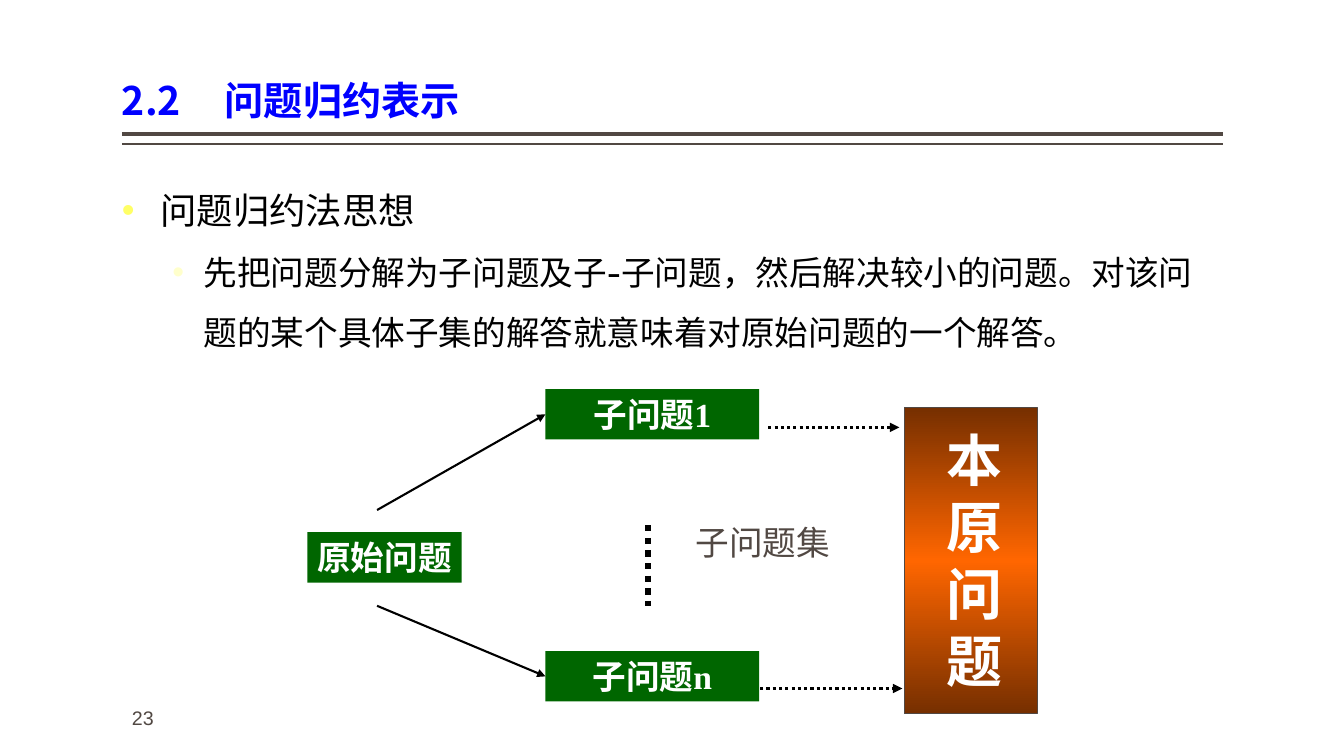
import pptx
import pptx.util
import pptx.dml.color
import pptx.enum.dml
import pptx.enum.shapes
import pptx.enum.text
import pptx.oxml
import pptx.oxml.ns
from dataclasses import dataclass
from lxml import etree

Inches = pptx.util.Inches
Pt = pptx.util.Pt
RGB = pptx.dml.color.RGBColor.from_string
Align = pptx.enum.text.PP_ALIGN
Anchor = pptx.enum.text.MSO_ANCHOR
Fit = pptx.enum.text.MSO_AUTO_SIZE
RECT = pptx.enum.shapes.MSO_SHAPE.RECTANGLE
STRAIGHT = pptx.enum.shapes.MSO_CONNECTOR.STRAIGHT
DOTS = pptx.enum.dml.MSO_LINE.ROUND_DOT
qn = pptx.oxml.ns.qn


@dataclass(frozen=True)
class Theme:
    title: str = "0000FF"
    ink: str = "000000"
    grey: str = "514843"
    green: str = "006600"
    white: str = "FFFFFF"
    brown: str = "762F00"
    orange: str = "FF6600"
    bullets: tuple = ("FFFF66", "FFFFCC")
    sans: str = "Noto Sans CJK SC"
    body: str = "Cabin"
    serif: str = "Times New Roman"
    small: int = 14
    label: int = 24
    point: int = 26
    head: int = 28
    big: int = 40


THEME = Theme()


def style(par, size, color, font, bold=False):
    for run in par.runs:
        run.font.size = Pt(size)
        run.font.bold = bold
        run.font.name = font
        run.font.color.rgb = RGB(color)
        east = etree.SubElement(run.font._element, qn("a:ea"))
        east.set("typeface", THEME.sans)


def text_box(slide, box, text, size, color, font, bold=False, wrap=True):
    shape = slide.shapes.add_textbox(*map(Inches, box))
    frame = shape.text_frame
    frame.word_wrap = wrap
    frame.text = text
    for par in frame.paragraphs:
        style(par, size, color, font, bold)
    return shape


def line(slide, start, end, width, color=THEME.ink, dots=False, arrow=False):
    link = slide.shapes.add_connector(STRAIGHT, *map(Inches, (*start, *end)))
    link.line.width = Pt(width)
    link.line.color.rgb = RGB(color)
    if dots:
        link.line.dash_style = DOTS
    if arrow:
        etree.SubElement(link.line._get_or_add_ln(), qn("a:tailEnd"), type="triangle")
    etree.SubElement(link._element.spPr, qn("a:effectLst"))
    return link


def node(slide, box, text, font=THEME.serif, wrap=True):
    shape = slide.shapes.add_shape(RECT, *map(Inches, box))
    shape.shadow.inherit = False
    shape.fill.solid()
    shape.fill.fore_color.rgb = RGB(THEME.green)
    shape.line.fill.background()
    frame = shape.text_frame
    frame.word_wrap = wrap
    frame.text = text
    frame.paragraphs[0].alignment = Align.CENTER
    style(frame.paragraphs[0], THEME.label, THEME.white, font, True)
    return shape


def shade(shape, colors):
    """Fill a shape from top to bottom with evenly spaced colours."""
    shape.fill.gradient()
    grad = shape._element.spPr.find(qn("a:gradFill"))
    stops = grad.find(qn("a:gsLst"))
    for stop in list(stops):
        stops.remove(stop)
    for i, color in enumerate(colors):
        place = str(100000 * i // (len(colors) - 1))
        stop = etree.SubElement(stops, qn("a:gs"), pos=place)
        etree.SubElement(stop, qn("a:srgbClr"), val=color)
    shape.fill.gradient_angle = 90


def header(slide, box):
    left, top, width, height = box
    title = slide.shapes.title
    title.left, title.top, title.width, title.height = map(Inches, box)
    frame = title.text_frame
    frame.margin_left = frame.margin_right = 0
    frame.vertical_anchor = Anchor.BOTTOM
    frame.auto_size = Fit.NONE
    frame.text = "2.2\t问题归约表示"
    par = frame.paragraphs[0]
    par.alignment = Align.LEFT
    par.line_spacing = 0.9
    tabs = etree.SubElement(par._p.get_or_add_pPr(), qn("a:tabLst"))
    etree.SubElement(tabs, qn("a:tab"), pos=str(Inches(1.02)), algn="l")
    style(par, THEME.head, THEME.title, THEME.sans, True)
    for gap, weight in ((0.05, 3), (0.15, 1)):
        y = top + height + gap
        line(slide, (left, y), (left + width, y), weight, THEME.grey)


def points(slide, box):
    text = ("问题归约法思想\n"
            "先把问题分解为子问题及子-子问题，然后解决较小的问题。"
            "对该问题的某个具体子集的解答就意味着对原始问题的一个解答。")
    shape = text_box(slide, box, text, THEME.point, THEME.ink, THEME.body)
    frame = shape.text_frame
    frame.margin_left = frame.margin_right = 0
    indents = ((0.38, 0.38), (0.81, 0.31))
    for level, par in enumerate(frame.paragraphs):
        par.level = level
        par.line_spacing = 1.5
        props = par._p.get_or_add_pPr()
        left, hang = indents[level]
        props.set("marL", str(Inches(left)))
        props.set("indent", str(-Inches(hang)))
        tint = etree.SubElement(props, qn("a:buClr"))
        etree.SubElement(tint, qn("a:srgbClr"), val=THEME.bullets[level])
        etree.SubElement(props, qn("a:buFont"), typeface="Arial")
        etree.SubElement(props, qn("a:buChar"), char="•")
    frame.paragraphs[1].runs[0].font.size = Pt(THEME.label)


def diagram(slide, box):
    x, y, width, height = box
    goal = slide.shapes.add_shape(
        RECT, *map(Inches, (x + 5.92, y + 0.18, width - 5.92, height - 0.18)))
    goal.shadow.inherit = False
    shade(goal, (THEME.brown, THEME.orange, THEME.brown))
    goal.line.color.rgb = RGB(THEME.grey)
    goal.line.width = Pt(0.75)

    node(slide, (x, y + 1.42, 1.53, 0.5), "原始问题", THEME.sans, False)
    parts = (("子问题1", 0, 1.2, (4.57, 5.87, 0.38)),
             ("子问题n", 2.6, 2.15, (4.49, 5.9, 2.97)))
    for text, top, start, (tail, tip, level) in parts:
        part = node(slide, (x + 2.36, y + top, 2.12, 0.5), text)
        link = line(slide, (x + 0.69, y + start), (x + 2.36, y + top + 0.25),
                    1.5, arrow=True)
        link.end_connect(part, 1)
        line(slide, (x + tail, y + level), (x + tip, y + level),
             2.25, dots=True, arrow=True)

    line(slide, (x + 3.38, y + 1.35), (x + 3.38, y + 2.15), 4.5, dots=True)
    text_box(slide, (x + 3.75, y + 1.27, 1.53, 0.5), "子问题集",
             THEME.label, THEME.grey, THEME.serif, wrap=False)
    text_box(slide, (x + 6.24, y + 0.31, 0.87, 2.77), "\n".join("本原问题"),
             THEME.big, THEME.white, THEME.serif, True)


def main():
    deck = pptx.Presentation()
    deck.slide_width, deck.slide_height = Inches(13.33), Inches(7.5)
    slide = deck.slides.add_slide(deck.slide_layouts[5])
    header(slide, (1.21, 0.08, 10.92, 1.2))
    points(slide, (1.21, 1.6, 10.92, 2.55))
    diagram(slide, (3.05, 3.86, 7.24, 3.22))
    text_box(slide, (1.21, 6.95, 2, 0.4), "23", THEME.small, THEME.grey, "Arial")
    deck.save("out.pptx")


if __name__ == "__main__":
    main()
